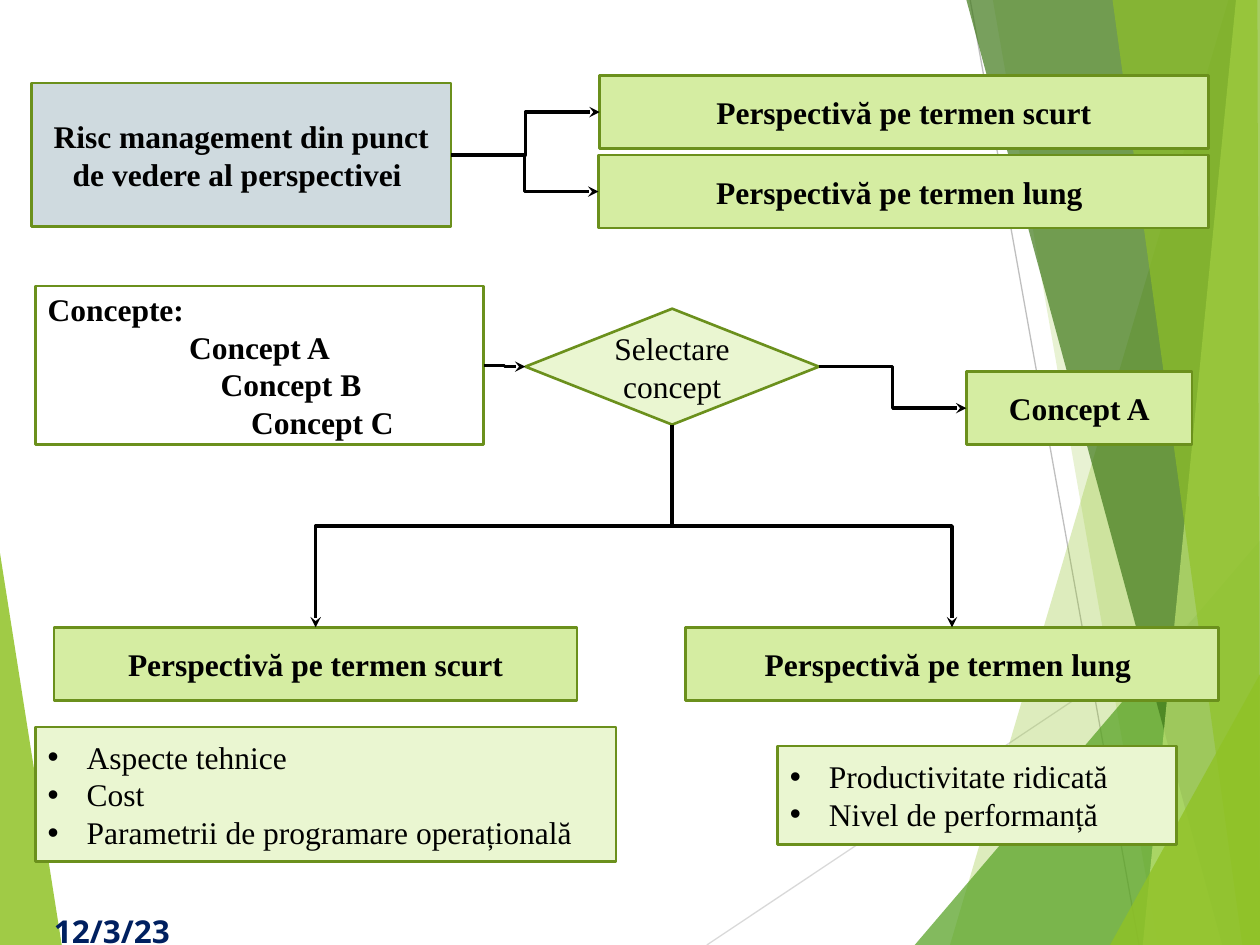
from dataclasses import dataclass

from lxml.etree import SubElement
from pptx import Presentation
from pptx.dml.color import RGBColor
from pptx.enum.shapes import MSO_CONNECTOR, MSO_SHAPE
from pptx.enum.text import MSO_ANCHOR, MSO_AUTO_SIZE, PP_ALIGN
from pptx.oxml.ns import qn
from pptx.shapes.autoshape import Shape
from pptx.shapes.connector import Connector
from pptx.shapes.shapetree import SlideShapes
from pptx.util import Inches, Pt

BLACK = RGBColor(0x00, 0x00, 0x00)
WHITE = RGBColor(0xFF, 0xFF, 0xFF)
NAVY = RGBColor(0x00, 0x20, 0x60)
OLIVE = RGBColor(0x6B, 0x90, 0x1C)
LIME = RGBColor(0xD5, 0xED, 0xA2)
PALE_LIME = RGBColor(0xEA, 0xF6, 0xD1)
BLUE_GREY = RGBColor(0xCF, 0xDA, 0xDF)
LEAF = RGBColor(0x90, 0xC2, 0x26)
GRASS = RGBColor(0x54, 0xA0, 0x21)
FOREST = RGBColor(0x3F, 0x78, 0x19)
SPRING = RGBColor(0xC0, 0xE4, 0x74)
LIGHT_GREY = RGBColor(0xD9, 0xD9, 0xD9)
MID_GREY = RGBColor(0xBF, 0xBF, 0xBF)

SERIF = "Times New Roman"
TEXT_SIZE = Pt(18)
BULLET_INDENT = Inches(0.31)


@dataclass
class Facet:
    points: list[tuple[float, float]]
    color: RGBColor
    opacity: int


@dataclass
class Ray:
    start: tuple[float, float]
    end: tuple[float, float]
    color: RGBColor


@dataclass
class Box:
    left: float
    top: float
    width: float
    height: float
    text: str
    fill: RGBColor = LIME
    bold: bool = True
    bulleted: bool = False
    geometry: MSO_SHAPE = MSO_SHAPE.FLOWCHART_PROCESS


FACETS_BEHIND = [
    Facet([(0, 4.39), (0.49, 7.5), (0, 7.5)], LEAF, 85),
]
RAYS = [
    Ray((5.61, 7.5), (10, 4.57), LIGHT_GREY),
    Ray((7.7, 0), (9.04, 7.5), MID_GREY),
]
FACETS_FRONT = [
    Facet([(9.75, 0), (7.54, 7.5), (10, 7.5), (10, 0)], LEAF, 30),
    Facet([(7.88, 0), (9.19, 7.5), (10, 7.5), (10, 0)], LEAF, 20),
    Facet([(7.26, 7.5), (10, 4.29), (10, 7.5)], GRASS, 72),
    Facet([(7.67, 0), (9.7, 7.5), (10, 7.5), (10, 0)], FOREST, 70),
    Facet([(9.81, 0), (9.07, 7.5), (10, 7.5), (10, 0)], SPRING, 70),
    Facet([(8.83, 0), (9.86, 7.5), (10, 7.5), (9.98, 0)], LEAF, 65),
    Facet([(8.81, 7.5), (10, 5.35), (10, 7.5)], LEAF, 80),
]

SHORT_TERM = "Perspectivă pe termen scurt"
LONG_TERM = "Perspectivă pe termen lung "

BOXES = {
    "short term": Box(4.76, 0.6, 4.83, 0.58, SHORT_TERM),
    "risk": Box(0.25, 0.66, 3.33, 1.14,
                "Risc management din punct de vedere al perspectivei ", BLUE_GREY),
    "long term": Box(4.75, 1.23, 4.84, 0.58, LONG_TERM),
    "chosen": Box(7.67, 2.95, 1.79, 0.58, "Concept A"),
    "short aspects": Box(
        0.28, 5.77, 4.61, 1.07,
        "Aspecte tehnice\nCost\nParametrii de programare operațională",
        PALE_LIME, bold=False, bulleted=True),
    "concepts": Box(0.28, 2.27, 3.56, 1.26,
                    "Concepte:\nConcept A\n\tConcept B\n\t\tConcept C", WHITE),
    "selection": Box(4.17, 2.45, 2.33, 0.92, "Selectare concept", PALE_LIME,
                     bold=False, geometry=MSO_SHAPE.DIAMOND),
    "short result": Box(0.43, 4.98, 4.15, 0.58, SHORT_TERM),
    "long result": Box(5.44, 4.98, 4.23, 0.58, LONG_TERM),
    "long aspects": Box(6.17, 5.92, 3.17, 0.78,
                        "Productivitate ridicată\nNivel de performanță",
                        PALE_LIME, bold=False, bulleted=True),
}
SIDE_LINKS = [
    ("risk", "short term"),
    ("risk", "long term"),
    ("selection", "chosen"),
    ("concepts", "selection"),
]
DOWN_LINKS = [("selection", "short result"), ("selection", "long result")]


def draw_facet(shapes: SlideShapes, facet: Facet) -> None:
    points = [(Inches(x), Inches(y)) for x, y in facet.points]
    builder = shapes.build_freeform(*points[0])
    builder.add_line_segments(points[1:], close=True)
    polygon = builder.convert_to_shape()
    polygon.shadow.inherit = False
    polygon.line.fill.background()
    polygon.fill.solid()
    polygon.fill.fore_color.rgb = facet.color
    color = polygon._element.spPr.find(f"{qn('a:solidFill')}/{qn('a:srgbClr')}")
    SubElement(color, qn("a:alpha"), val=str(facet.opacity * 1000))


def style_line(connector: Connector, color: RGBColor, width: float) -> None:
    connector.line.color.rgb = color
    connector.line.width = Pt(width)
    SubElement(connector._element.spPr, qn("a:effectLst"))


def draw_ray(shapes: SlideShapes, ray: Ray) -> None:
    ends = [Inches(value) for value in (*ray.start, *ray.end)]
    style_line(shapes.add_connector(MSO_CONNECTOR.STRAIGHT, *ends), ray.color, 0.75)


def draw_box(shapes: SlideShapes, box: Box) -> Shape:
    place = [Inches(value) for value in (box.left, box.top, box.width, box.height)]
    node = shapes.add_shape(box.geometry, *place)
    node.shadow.inherit = False
    node.fill.solid()
    node.fill.fore_color.rgb = box.fill
    node.line.color.rgb = OLIVE
    node.line.width = Pt(1.5)
    frame = node.text_frame
    frame.word_wrap = True
    frame.vertical_anchor = MSO_ANCHOR.MIDDLE
    frame.text = box.text
    for paragraph in frame.paragraphs:
        heading = paragraph.text.endswith(":")
        left_aligned = box.bulleted or heading
        paragraph.alignment = PP_ALIGN.LEFT if left_aligned else PP_ALIGN.CENTER
        if box.bulleted:
            add_bullet(paragraph._p.get_or_add_pPr())
        for run in paragraph.runs:
            run.font.name = SERIF
            run.font.size = TEXT_SIZE
            run.font.bold = box.bold
            run.font.color.rgb = BLACK
    return node


def add_bullet(properties) -> None:
    properties.set("marL", str(BULLET_INDENT))
    properties.set("indent", str(-BULLET_INDENT))
    SubElement(properties, qn("a:buFont"), typeface="Arial")
    SubElement(properties, qn("a:buChar"), char="•")


def style_arrow(arrow: Connector) -> None:
    style_line(arrow, BLACK, 2)
    SubElement(arrow.line._get_or_add_ln(), qn("a:tailEnd"), type="stealth")


def link_sideways(shapes: SlideShapes, source: Shape, target: Shape) -> None:
    arrow = shapes.add_connector(
        MSO_CONNECTOR.ELBOW,
        source.left + source.width, source.top + source.height // 2,
        target.left, target.top + target.height // 2)
    arrow.begin_connect(source, 3)
    arrow.end_connect(target, 1)
    style_arrow(arrow)


def link_down(shapes: SlideShapes, source: Shape, target: Shape) -> None:
    start_x = source.left + source.width // 2
    start_y = source.top + source.height
    end_x = target.left + target.width // 2
    middle_x, middle_y = (start_x + end_x) // 2, (start_y + target.top) // 2
    half_drop = (target.top - start_y) // 2
    half_span = abs(end_x - start_x) // 2
    direction = 1 if end_x < start_x else -1
    arrow = shapes.add_connector(
        MSO_CONNECTOR.ELBOW,
        middle_x - direction * half_drop, middle_y - half_span,
        middle_x + direction * half_drop, middle_y + half_span)
    quarter_turn = 90 if direction == 1 else 270
    arrow._element.spPr.find(qn("a:xfrm")).set("rot", str(quarter_turn * 60000))
    style_arrow(arrow)


def draw_date(shapes: SlideShapes) -> None:
    date = shapes.add_textbox(Inches(0.33), Inches(7.19), Inches(1.83), Inches(0.4))
    frame = date.text_frame
    frame.word_wrap = True
    frame.auto_size = MSO_AUTO_SIZE.SHAPE_TO_FIT_TEXT
    frame.text = "12/3/23"
    font = frame.paragraphs[0].runs[0].font
    font.name = "Open Sans"
    font.size = TEXT_SIZE
    font.bold = True
    font.color.rgb = NAVY


def main() -> None:
    deck = Presentation()
    deck.slide_width, deck.slide_height = Inches(10), Inches(7.5)
    shapes = deck.slides.add_slide(deck.slide_layouts[6]).shapes
    for facet in FACETS_BEHIND:
        draw_facet(shapes, facet)
    for ray in RAYS:
        draw_ray(shapes, ray)
    for facet in FACETS_FRONT:
        draw_facet(shapes, facet)
    nodes = {key: draw_box(shapes, box) for key, box in BOXES.items()}
    for source, target in SIDE_LINKS:
        link_sideways(shapes, nodes[source], nodes[target])
    for source, target in DOWN_LINKS:
        link_down(shapes, nodes[source], nodes[target])
    draw_date(shapes)
    deck.save("out.pptx")


if __name__ == "__main__":
    main()
